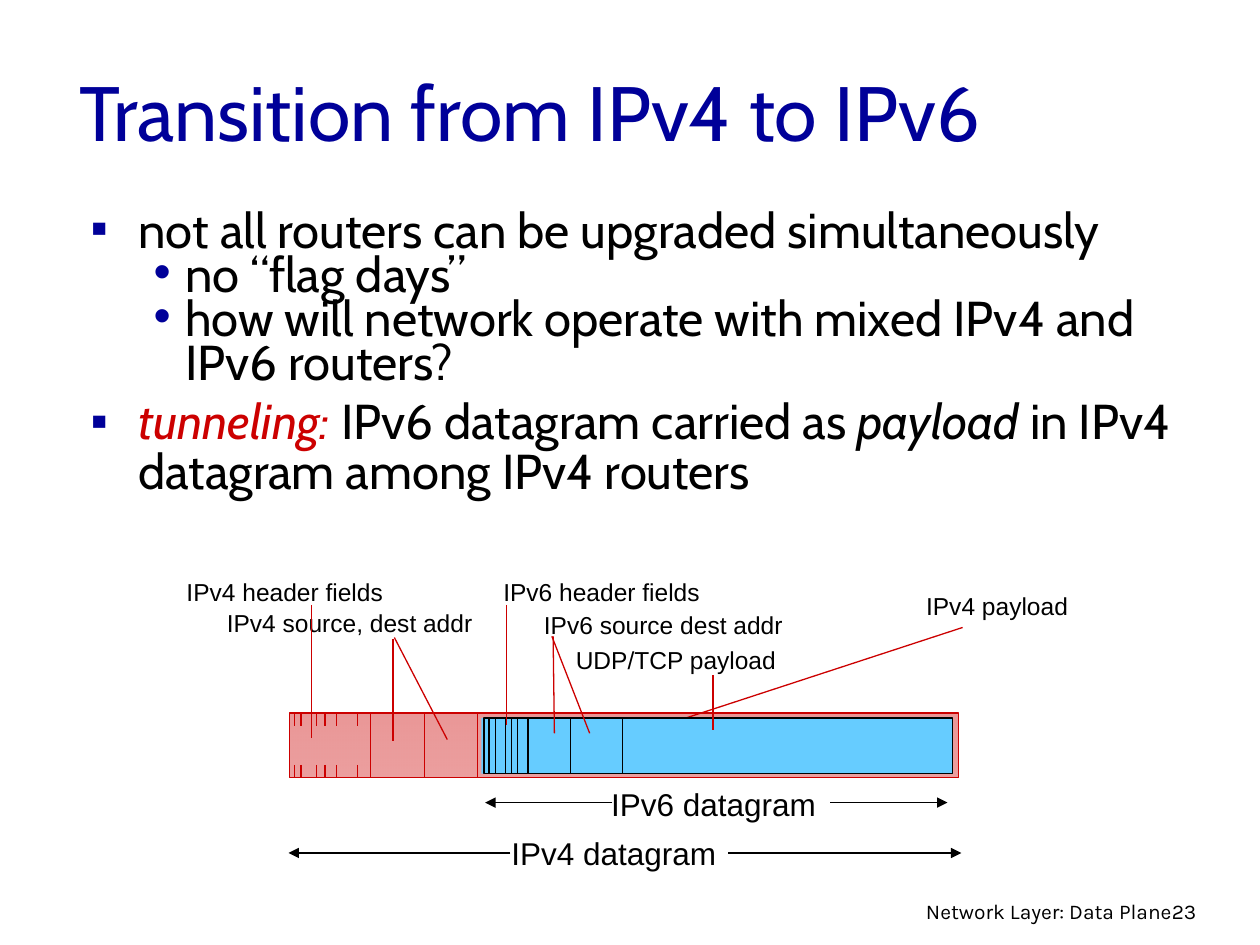
import pptx
import pptx.dml.color
import pptx.enum.shapes
import pptx.enum.text
import pptx.oxml
import pptx.oxml.ns
import pptx.util
from lxml import etree
from pptx.util import Inches

NAVY, RED, BLACK, BLUE = "000099", "CC0000", "000000", "66CCFF"
ALIGN = pptx.enum.text.PP_ALIGN


def rgb(value):
    return pptx.dml.color.RGBColor.from_string(value)


def add_xml(parent, tag, **attrs):
    return etree.SubElement(parent, pptx.oxml.ns.qn(tag), attrs)


class SlideBuilder:
    """Holds the slide and its text and line style."""

    inset = Inches(0.05)
    line_width = 0.75

    def __init__(self, s):
        self.s = s

    def box(self, x, y, w, h, wrap=True, grow=False, anchor="TOP"):
        sp = self.s.shapes.add_textbox(Inches(x), Inches(y), Inches(w), Inches(h))
        tf = sp.text_frame
        tf.margin_left = tf.margin_right = self.inset
        tf.margin_top = tf.margin_bottom = self.inset
        tf.word_wrap = wrap
        sizes = pptx.enum.text.MSO_AUTO_SIZE
        tf.auto_size = sizes.SHAPE_TO_FIT_TEXT if grow else sizes.NONE
        tf.vertical_anchor = pptx.enum.text.MSO_ANCHOR[anchor]
        return tf

    def run(self, p, text, size, font, color=BLACK, italic=False):
        r = p.add_run()
        r.text = text
        r.font.size = pptx.util.Pt(size)
        r.font.name = font
        r.font.italic = italic
        r.font.color.rgb = rgb(color)

    def label(self, text, x, y, w, h=0.32, size=14, font="Arial",
              align=ALIGN.LEFT, wrap=False):
        p = self.box(x, y, w, h, wrap, grow=True).paragraphs[0]
        p.alignment = align
        self.run(p, text, size, font)

    def bullet(self, p, char, left, hanging, spacing, before, runs):
        pPr = p._p.get_or_add_pPr()
        pPr.set("marL", str(Inches(left)))
        pPr.set("indent", str(-Inches(hanging)))
        add_xml(add_xml(pPr, "a:buClr"), "a:srgbClr", val=NAVY)
        add_xml(pPr, "a:buFont", typeface="Arial")
        add_xml(pPr, "a:buChar", char=char)
        p.line_spacing = spacing
        p.space_before = pptx.util.Pt(before)
        for text, color, italic in runs:
            self.run(p, text, 28, "Cabin", color, italic)

    def rect(self, x, y, w, h, fill=None, line=None, width=0.75):
        sp = self.s.shapes.add_shape(pptx.enum.shapes.MSO_SHAPE.RECTANGLE,
                                     Inches(x), Inches(y), Inches(w), Inches(h))
        sp.shadow.inherit = False
        if fill:
            sp.fill.solid()
            sp.fill.fore_color.rgb = rgb(fill)
        if line:
            sp.line.color.rgb = rgb(line)
            sp.line.width = pptx.util.Pt(width)
        else:
            sp.line.fill.background()
        return sp

    def glass_rect(self, x, y, w, h, color, opacities):
        """Rectangle with a vertical gradient of see-through colour."""
        sp = self.rect(x, y, w, h, line=color)
        sp.fill.gradient()
        sp.fill.gradient_angle = 90
        for stop, opacity in zip(sp.fill.gradient_stops, opacities):
            stop.color.rgb = rgb(color)
        clrs = sp._element.spPr.findall(".//" + pptx.oxml.ns.qn("a:gs"))
        for gs, opacity in zip(clrs, opacities):
            add_xml(gs[0], "a:alpha", val=str(opacity * 1000))

    def line(self, x1, y1, x2, y2, color=RED, arrow=False):
        c = self.s.shapes.add_connector(pptx.enum.shapes.MSO_CONNECTOR.STRAIGHT,
                                        Inches(x1), Inches(y1), Inches(x2), Inches(y2))
        c.line.color.rgb = rgb(color)
        c.line.width = pptx.util.Pt(self.line_width)
        if arrow:
            add_xml(c.line._get_or_add_ln(), "a:tailEnd", type="triangle")
        add_xml(c._element.spPr, "a:effectLst")


def add_text(b):
    p = b.box(0.58, 0.25, 8.5, 1.25, anchor="MIDDLE").paragraphs[0]
    b.run(p, "Transition from IPv4 to IPv6", 44, "Cabin", NAVY)

    main, sub = ("▪", 0.38, 0.38), ("•", 0.75, 0.25)
    bullets = [
        (main, 0.75, 0, [("not all routers can be upgraded simultaneously", BLACK, False)]),
        (sub, 0.75, 0, [("no “flag days”", BLACK, False)]),
        (sub, 0.75, 0, [("how will network operate with mixed IPv4 and IPv6 routers?",
                         BLACK, False)]),
        (main, 0.85, 6, [("tunneling:", RED, True),
                         (" IPv6 datagram carried as ", BLACK, False),
                         ("payload", BLACK, True),
                         (" in IPv4 datagram among IPv4 routers", BLACK, False)]),
    ]
    tf = b.box(0.67, 1.64, 9.03, 2.72)
    for i, (level, spacing, before, runs) in enumerate(bullets):
        p = tf.add_paragraph() if i else tf.paragraphs[0]
        b.bullet(p, *level, spacing, before, runs)


def add_ipv4_datagram(b):
    top, bottom, tick = 5.66, 6.17, 0.1
    b.glass_rect(2.3, top, 5.31, bottom - top, RED, (38, 41))
    for x in (2.94, 3.37, 3.79):
        b.line(x, top, x, bottom)
    for x in (2.34, 2.39, 2.51, 2.58, 2.67, 2.84):
        b.line(x, top, x, top + tick)
        b.line(x, bottom - tick, x, bottom)

    b.label("IPv4 source, dest addr", 1.75, 4.78, 2.11)
    b.label("IPv4 header fields", 1.43, 4.53, 1.72)
    b.line(3.12, 5.07, 3.12, 5.88)
    b.line(3.13, 5.06, 3.55, 5.87)
    b.line(2.47, 4.8, 2.47, 5.86)


def add_extents(b):
    for text, x, y, arrow_y, left, right in (
            ("IPv4 datagram", 4.01, 6.57, 6.77, (4.05, 2.29), (5.78, 7.63)),
            ("IPv6 datagram", 4.8, 6.18, 6.37, (4.86, 3.85), (6.59, 7.52))):
        b.label(text, x, y, 1.74, 0.38, size=18)
        for start, end in (right, left):
            b.line(start, arrow_y, end, arrow_y, BLACK, arrow=True)


def add_ipv6_datagram(b):
    top, height = 5.7, 0.44
    b.rect(3.82, top, 3.74, height, BLUE)
    b.label("IPv4 payload", 7.3, 4.64, 1.29)
    b.line(7.64, 4.98, 4.98, 5.85)
    b.rect(3.84, top, 3.72, height, BLUE, BLACK, 1)
    for x in (3.88, 3.93, 4.01, 4.06, 4.11, 4.19, 4.53, 4.94):
        b.line(x, top, x, top + height, BLACK)

    b.label("UDP/TCP payload", 4.52, 5.07, 1.7)
    b.label("IPv6 source dest addr", 4.26, 4.79, 2.01, align=ALIGN.CENTER)
    b.label("IPv6 header fields", 3.94, 4.53, 1.67, align=ALIGN.CENTER)
    b.line(4.39, 5.05, 4.4, 5.82)
    b.line(4.38, 5.05, 4.68, 5.82)
    b.line(4.02, 4.8, 4.02, 5.75)
    b.line(5.66, 5.36, 5.66, 5.79)


def main():
    prs = pptx.Presentation()
    prs.slide_width, prs.slide_height = Inches(10), Inches(7.5)
    b = SlideBuilder(prs.slides.add_slide(prs.slide_layouts[6]))
    add_text(b)
    add_ipv4_datagram(b)
    add_extents(b)
    add_ipv6_datagram(b)
    b.label("23", 9.25, 7.08, 0.3, 0.29, size=12, font="Karla")
    b.label("Network Layer: Data Plane", 6.97, 7.08, 2.38, 0.29, size=12,
            font="Karla", align=ALIGN.RIGHT, wrap=True)
    prs.save("out.pptx")


if __name__ == "__main__":
    main()
